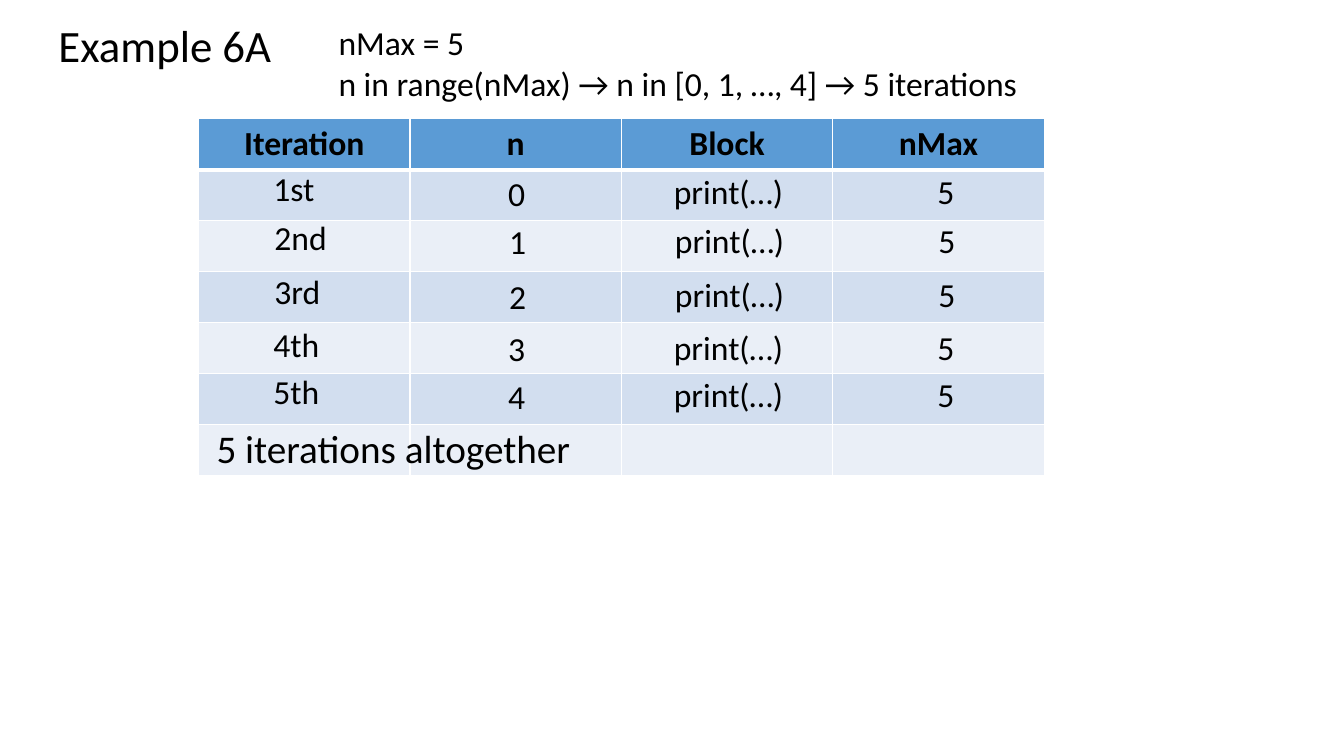
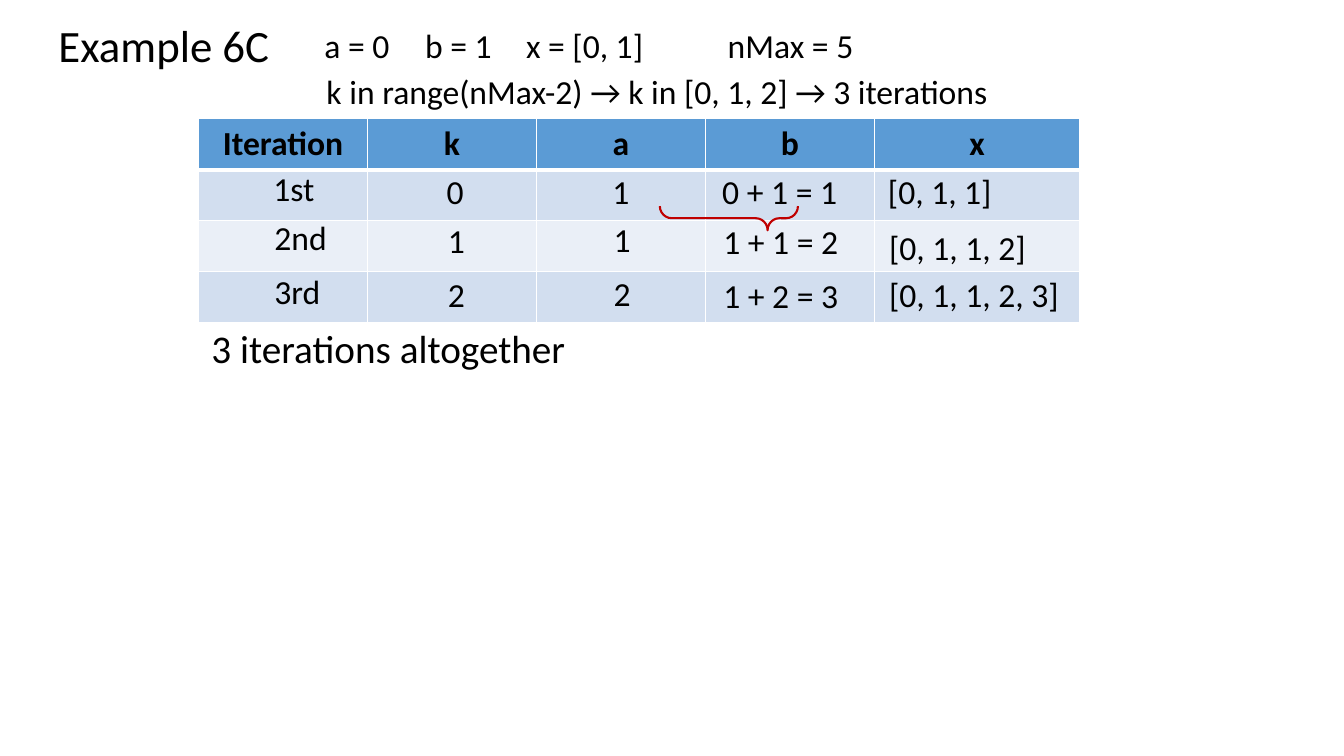
"""Builds two slides that trace the iterations of Examples 6A and 6C."""
from dataclasses import dataclass

from lxml.etree import SubElement
from pptx import Presentation
from pptx.dml.color import RGBColor
from pptx.enum.shapes import MSO_SHAPE
from pptx.enum.text import MSO_ANCHOR, MSO_AUTO_SIZE, PP_ALIGN
from pptx.oxml.ns import qn
from pptx.slide import Slide
from pptx.table import _Cell
from pptx.text.text import TextFrame
from pptx.util import Inches, Length, Pt

COLORS = {
    "text": "000000",
    "header": "5B9BD5",
    "odd": "D2DEEF",
    "even": "EAEFF7",
    "rule": "FFFFFF",
    "brace": "C00000",
}
FONT = "Calibri"
TITLE_SIZE, SUMMARY_SIZE, TEXT_SIZE = 32, 28, 24
SLIDE_WIDTH, SLIDE_HEIGHT = Inches(13.33), Inches(7.5)
TABLE_LEFT, TABLE_TOP, ROW_HEIGHT = 14.78, 15.7, 6.75
VALUE_TOPS = (21.6, 28, 35.2, 42.13, 48.4)
VALUE_NUDGES = (0, 0.08, 0.08, 0, 0)
VALUE_HEIGHT = 6.67
TAB_STOPS = (1, 2, 4)
THIN, THICK = 1, 3


@dataclass(frozen=True)
class Area:
    """A rectangle in percent of the slide's width and height."""
    left: float
    top: float
    width: float
    height: float

    def lengths(self) -> tuple[Length, Length, Length, Length]:
        return across(self.left), down(self.top), across(self.width), down(self.height)


@dataclass(frozen=True)
class Column:
    """A table column and the values laid over it, each dropped below its row's top."""
    heading: str
    width: float
    values: tuple[str, ...]
    value_left: float
    value_width: float = 2.78
    drops: tuple[float, ...] = (0.4,) * 5


@dataclass(frozen=True)
class Note:
    """Lines of plain text in an area."""
    area: Area
    lines: tuple[str, ...]
    size: int = TEXT_SIZE
    wrap: bool = True


@dataclass(frozen=True)
class Example:
    """The content of one slide."""
    title: str
    notes: tuple[Note, ...]
    columns: tuple[Column, ...]
    row_count: int
    brace: Area | None = None


def across(percent: float) -> Length:
    return Length(round(SLIDE_WIDTH * percent / 100))


def down(percent: float) -> Length:
    return Length(round(SLIDE_HEIGHT * percent / 100))


def color(key: str) -> RGBColor:
    return RGBColor.from_string(COLORS[key])


def write(frame: TextFrame, lines: tuple[str, ...], size: int,
          align: PP_ALIGN = PP_ALIGN.LEFT, bold: bool = False) -> None:
    frame.text = "\n".join(lines)
    for paragraph in frame.paragraphs:
        paragraph.alignment = align
        if "\t" in paragraph.text:
            stops = SubElement(paragraph._p.get_or_add_pPr(), qn("a:tabLst"))
            for stop in TAB_STOPS:
                SubElement(stops, qn("a:tab"), pos=str(Inches(stop)), algn="l")
        font = paragraph.font
        font.name, font.size, font.bold = FONT, Pt(size), bold
        font.color.rgb = color("text")


def add_title(slide: Slide, words: str) -> None:
    title = slide.shapes.title
    title.left, title.top, title.width, title.height = Area(3.6, 1.73, 17.5, 8.53).lengths()
    frame = title.text_frame
    frame.auto_size = MSO_AUTO_SIZE.NONE
    frame.word_wrap = False
    frame.vertical_anchor = MSO_ANCHOR.TOP
    write(frame, (words,), TITLE_SIZE)


def add_note(slide: Slide, note: Note) -> None:
    frame = slide.shapes.add_textbox(*note.area.lengths()).text_frame
    frame.word_wrap = note.wrap
    write(frame, note.lines, note.size)


def style_cell(cell: _Cell, row_index: int) -> None:
    top = THICK if row_index == 1 else THIN
    bottom = THICK if row_index == 0 else THIN
    properties = cell._tc.get_or_add_tcPr()
    for side, points in (("L", THIN), ("R", THIN), ("T", top), ("B", bottom)):
        edge = SubElement(properties, qn(f"a:ln{side}"), w=str(Pt(points)))
        SubElement(SubElement(edge, qn("a:solidFill")), qn("a:srgbClr"), val=COLORS["rule"])
    cell.fill.solid()
    band = "header" if row_index == 0 else "odd" if row_index % 2 else "even"
    cell.fill.fore_color.rgb = color(band)


def add_grid(slide: Slide, columns: tuple[Column, ...], row_count: int) -> None:
    area = Area(TABLE_LEFT, TABLE_TOP, sum(column.width for column in columns),
                ROW_HEIGHT * row_count)
    table = slide.shapes.add_table(row_count, len(columns), *area.lengths()).table
    for row_index, row in enumerate(table.rows):
        row.height = down(ROW_HEIGHT)
        for cell in row.cells:
            style_cell(cell, row_index)
    for index, column in enumerate(columns):
        table.columns[index].width = across(column.width)
        write(table.cell(0, index).text_frame, (column.heading,), TEXT_SIZE,
              PP_ALIGN.CENTER, bold=True)


def add_values(slide: Slide, column: Column) -> None:
    for value, top, nudge, drop in zip(column.values, VALUE_TOPS, VALUE_NUDGES, column.drops):
        area = Area(column.value_left + nudge, top + drop, column.value_width, VALUE_HEIGHT)
        add_note(slide, Note(area, (value,), wrap=False))


def add_brace(slide: Slide, area: Area) -> None:
    brace = slide.shapes.add_shape(MSO_SHAPE.RIGHT_BRACE, *area.lengths())
    brace.rotation = 90
    brace.adjustments[0], brace.adjustments[1] = 0.49, 0.22
    brace.shadow.inherit = False
    brace.fill.background()
    brace.line.color.rgb = color("brace")
    brace.line.width = Pt(1.5)


def ordinals(width: float, count: int) -> Column:
    names = ("1st", "2nd", "3rd", "4th", "5th")[:count]
    return Column("Iteration", width, names, 19.6, 5.48, drops=(0,) * count)


def summary(left: float, top: float, count: int) -> Note:
    return Note(Area(left, top, 28.13, 7.6), (f"{count} iterations altogether",),
                SUMMARY_SIZE, wrap=False)


EXAMPLES = (
    Example(
        "Example 6A",
        (
            Note(Area(24.45, 2.27, 55.73, 12.13),
                 ("nMax = 5", "n in range(nMax) → n in [0, 1, …, 4] → 5 iterations")),
            summary(15.38, 55.47, 5),
        ),
        (
            ordinals(15.73, 5),
            Column("n", 15.73, ("0", "1", "2", "3", "4"), 37.06, drops=(0.6,) * 5),
            Column("Block", 15.73, ("print(…)",) * 5, 49.4, 9.75),
            Column("nMax", 15.73, ("5",) * 5, 69),
        ),
        row_count=7,
    ),
    Example(
        "Example 6C",
        (
            Note(Area(23.4, 2.67, 44.78, 6.67), ("a = 0\tb = 1\tx = [0, 1]\tnMax = 5",)),
            Note(Area(23.55, 8.67, 57.53, 6.67),
                 ("k in range(nMax-2) → k in [0, 1, 2] → 3 iterations",)),
            summary(15, 42.27, 3),
        ),
        (
            ordinals(12.57, 3),
            Column("k", 12.57, ("0", "1", "2"), 32.5),
            Column("a", 12.57, ("1", "1", "2"), 44.83, drops=(0.4, 0.27, 0.27)),
            Column("b", 12.57, ("0 + 1 = 1", "1 + 1 = 2", "1 + 2 = 3"), 53, 10.13,
                   drops=(0.4, 0.53, 0.53)),
            Column("x", 15.3, ("[0, 1, 1]", "[0, 1, 1, 2]", "[0, 1, 1, 2, 3]"), 65.33, 14.25,
                   drops=(0.4, 1.33, 0.4)),
        ),
        row_count=4,
        brace=Area(53.33, 19.73, 1.8, 18.27),
    ),
)


def main() -> None:
    deck = Presentation()
    deck.slide_width, deck.slide_height = SLIDE_WIDTH, SLIDE_HEIGHT
    title_only = deck.slide_layouts[5]
    for example in EXAMPLES:
        slide = deck.slides.add_slide(title_only)
        add_title(slide, example.title)
        add_grid(slide, example.columns, example.row_count)
        for column in example.columns:
            add_values(slide, column)
        for note in example.notes:
            add_note(slide, note)
        if example.brace:
            add_brace(slide, example.brace)
    deck.save("out.pptx")


if __name__ == "__main__":
    main()
